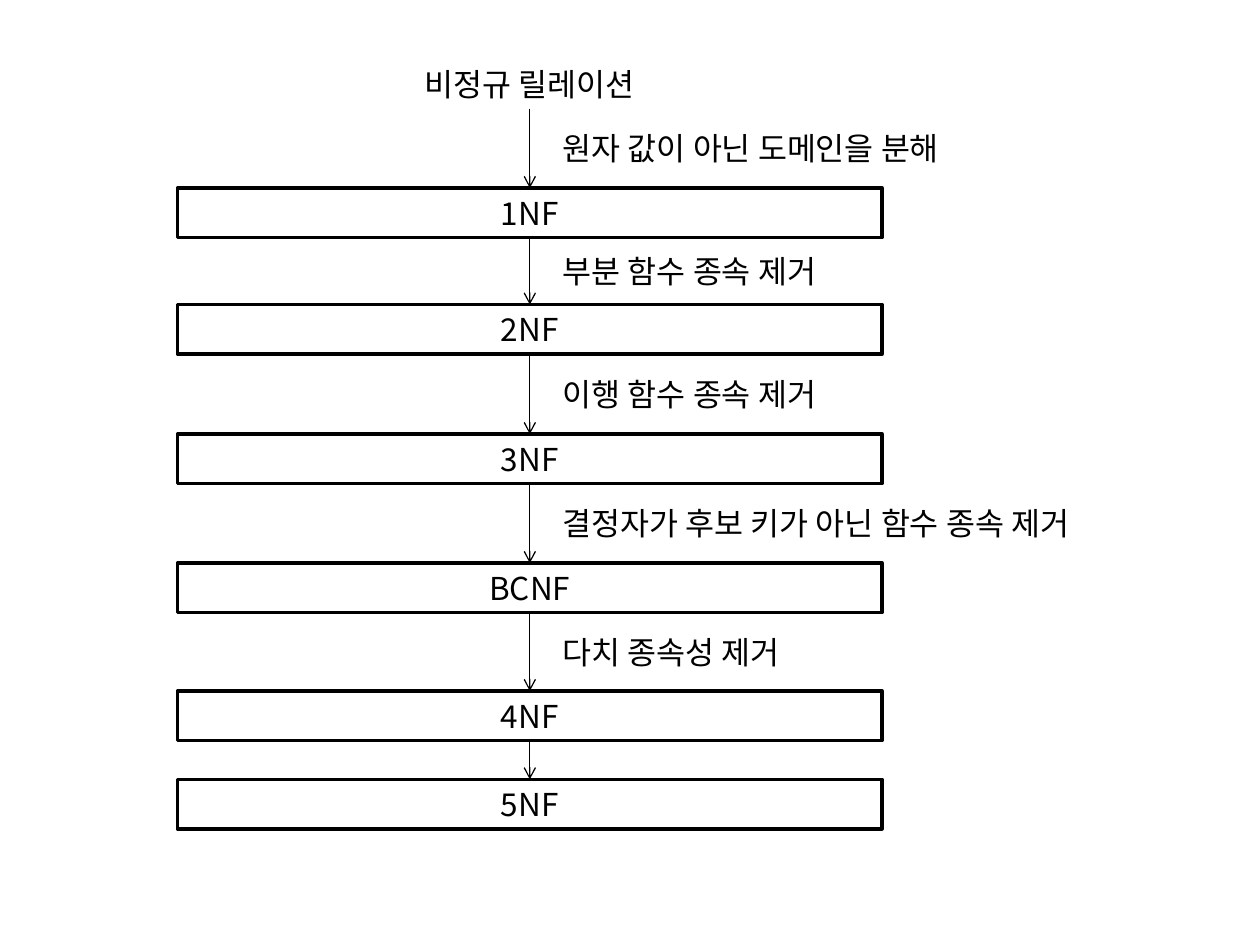
from itertools import pairwise

from lxml import etree
from pptx import Presentation
from pptx import util as u
from pptx.dml.color import RGBColor
from pptx.enum import shapes, text
from pptx.oxml import ns

FONT = "Noto Sans CJK KR"
BLACK, WHITE = "000000", "FFFFFF"
BOX_LEFT, BOX_WIDTH, BOX_HEIGHT = 3.58, 14.2, 1.0
CENTER = BOX_LEFT + BOX_WIDTH / 2
LABEL_LEFT, LABEL_HEIGHT = 11.1, 1.02


def color(hex_value):
    """Return the colour for a hex string."""
    return RGBColor.from_string(hex_value)


def write(frame, words, align):
    """Put one styled paragraph into a text frame."""
    para = frame.paragraphs[0]
    span = para.add_run()
    span.text = words
    para.alignment = align
    for font in (para.font, span.font):
        font.size = u.Pt(18)
        font.name = FONT
        font.color.rgb = color(BLACK)
    east_asian = etree.SubElement(span.font._element, ns.qn("a:ea"))
    east_asian.set("typeface", FONT)


deck = Presentation()
deck.slide_width, deck.slide_height = u.Cm(25.4), u.Cm(19.05)
page = deck.slides.add_slide(deck.slide_layouts[6])

# Stages from top to bottom: name, top edge
stages = [
    ("비정규 릴레이션", 1.19),
    ("1NF", 3.79),
    ("2NF", 6.14),
    ("3NF", 8.75),
    ("BCNF", 11.35),
    ("4NF", 13.93),
    ("5NF", 15.71),
]
for index, (name, top) in enumerate(stages):
    box = page.shapes.add_shape(
        shapes.MSO_SHAPE.RECTANGLE,
        u.Cm(BOX_LEFT), u.Cm(top), u.Cm(BOX_WIDTH), u.Cm(BOX_HEIGHT),
    )
    box.shadow.inherit = False
    box.fill.solid()
    box.fill.fore_color.rgb = color(WHITE)
    if index == 0:
        box.line.fill.background()
    else:
        box.line.color.rgb = color(BLACK)
        box.line.width = u.Pt(2)
    box.text_frame.vertical_anchor = text.MSO_ANCHOR.MIDDLE
    write(box.text_frame, name, text.PP_ALIGN.CENTER)

# Each arrow fills the gap between two neighbouring stages
gaps = [(upper + BOX_HEIGHT, lower) for (_, upper), (_, lower) in pairwise(stages)]
for start, end in gaps:
    arrow = page.shapes.add_connector(
        shapes.MSO_CONNECTOR.STRAIGHT,
        u.Cm(CENTER), u.Cm(start), u.Cm(CENTER), u.Cm(end),
    )
    arrow.line.color.rgb = color(BLACK)
    arrow.line.width = u.Pt(0.75)
    line = arrow.line._get_or_add_ln()
    etree.SubElement(line, ns.qn("a:tailEnd")).set("type", "arrow")
    etree.SubElement(arrow._element.spPr, ns.qn("a:effectLst"))

# Step labels with their widths, centred on the gaps; the last gap has none
steps = [
    ("원자 값이 아닌 도메인을 분해", 9.12),
    ("부분 함수 종속 제거", 6.32),
    ("이행 함수 종속 제거", 6.32),
    ("결정자가 후보 키가 아닌 함수 종속 제거", 12.14),
    ("다치 종속성 제거", 5.46),
]
for (words, width), (start, end) in zip(steps, gaps):
    label_top = (start + end - LABEL_HEIGHT) / 2
    label = page.shapes.add_textbox(
        u.Cm(LABEL_LEFT), u.Cm(label_top), u.Cm(width), u.Cm(LABEL_HEIGHT)
    )
    label.text_frame.word_wrap = False
    label.text_frame.auto_size = text.MSO_AUTO_SIZE.SHAPE_TO_FIT_TEXT
    write(label.text_frame, words, text.PP_ALIGN.LEFT)

deck.save("out.pptx")
